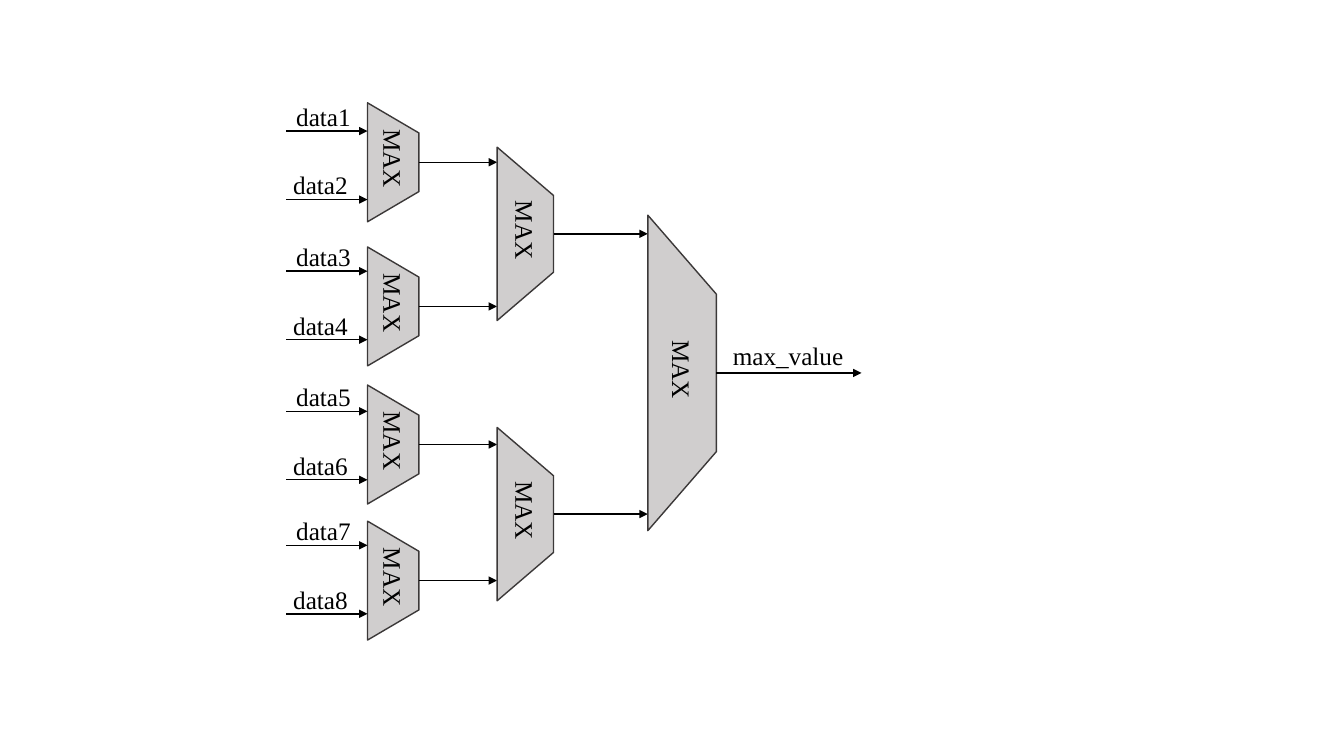
from lxml.etree import SubElement
from pptx import Presentation
from pptx.dml.color import RGBColor
from pptx.enum.shapes import MSO_CONNECTOR, MSO_SHAPE
from pptx.oxml.ns import qn
from pptx.util import Inches, Pt

COLORS = {"fill": "D0CECE", "outline": "3B3838", "ink": "000000"}
FONT = "Times New Roman"
LABEL_HEIGHT = 4
INPUT_LEFT, INPUT_GAP = 28.4, 6.8
FIRST_LEFT, FIRST_WIDTH, FIRST_HEIGHT = 36.45, 5.1, 11.8
SECOND_LEFT, SECOND_WIDTH, SECOND_HEIGHT = 49.3, 5.6, 17.2
FINAL_LEFT, FINAL_WIDTH, FINAL_HEIGHT = 64.25, 6.8, 31.3
FIRST_CENTERS = (16.1, 30.4, 44.1, 57.6)
INPUT_TOPS = (13, 26.9, 40.8, 54.1)
SECOND_CENTERS = (23.2, 51)
FINAL_CENTER = 37


def cells(count):
    """Convert cells of a tenth-inch grid to a slide length."""
    return Inches(count / 10)


def add_label(slide, left, top, width, words, rotation=0):
    """Place one line of text in the given box."""
    label = slide.shapes.add_textbox(cells(left), cells(top), cells(width), cells(LABEL_HEIGHT))
    label.rotation = rotation
    label.text_frame.word_wrap = True
    run = label.text_frame.paragraphs[0].add_run()
    run.text = words
    run.font.name = FONT
    run.font.size = Pt(18)
    run.font.color.rgb = RGBColor.from_string(COLORS["ink"])


def add_wire(slide, start, end, level):
    """Draw a horizontal arrow from start to end."""
    wire = slide.shapes.add_connector(
        MSO_CONNECTOR.STRAIGHT, cells(start), cells(level), cells(end), cells(level))
    wire.line.width = Pt(1)
    wire.line.color.rgb = RGBColor.from_string(COLORS["ink"])
    SubElement(wire.line._get_or_add_ln(), qn("a:tailEnd"), type="triangle")
    SubElement(wire._element.spPr, qn("a:effectLst"))


def add_max_unit(slide, left, center, width, height, slope):
    """Draw a comparator that narrows to the right, with its name turned."""
    middle = left + width / 2
    unit = slide.shapes.add_shape(
        MSO_SHAPE.TRAPEZOID, cells(middle - height / 2), cells(center - width / 2),
        cells(height), cells(width))
    unit.rotation = 90
    unit.adjustments[0] = slope
    unit.shadow.inherit = False
    unit.fill.solid()
    unit.fill.fore_color.rgb = RGBColor.from_string(COLORS["fill"])
    unit.line.color.rgb = RGBColor.from_string(COLORS["outline"])
    unit.line.width = Pt(1)
    add_label(slide, middle - 4.25, center - LABEL_HEIGHT / 2, 8.5, "MAX", 90)


def add_inputs(slide, top, first_number):
    """Draw the two labelled inputs of a first-stage comparator."""
    for row, shift in enumerate((0, -0.3)):
        level = top + row * INPUT_GAP
        add_wire(slide, INPUT_LEFT, FIRST_LEFT, level)
        add_label(slide, INPUT_LEFT + shift, level - 3.45, 8.6, f"data{first_number + row}")


def add_max_tree(slide):
    """Draw the three comparator stages and the wires between them."""
    for index, (center, top) in enumerate(zip(FIRST_CENTERS, INPUT_TOPS)):
        add_max_unit(slide, FIRST_LEFT, center, FIRST_WIDTH, FIRST_HEIGHT, 0.587)
        add_inputs(slide, top, 2 * index + 1)
        add_wire(slide, FIRST_LEFT + FIRST_WIDTH, SECOND_LEFT, center)
    for center in SECOND_CENTERS:
        add_max_unit(slide, SECOND_LEFT, center, SECOND_WIDTH, SECOND_HEIGHT, 0.857)
        add_wire(slide, SECOND_LEFT + SECOND_WIDTH, FINAL_LEFT, center)
    add_max_unit(slide, FINAL_LEFT, FINAL_CENTER, FINAL_WIDTH, FINAL_HEIGHT, 1.153)
    output_left = FINAL_LEFT + FINAL_WIDTH
    add_wire(slide, output_left, output_left + 14.4, FINAL_CENTER)
    add_label(slide, output_left + 0.65, FINAL_CENTER - 3.7, 13.7, "max_value")


def main():
    """Build and save the slide."""
    presentation = Presentation()
    presentation.slide_width = Inches(13.33)
    presentation.slide_height = Inches(7.5)
    add_max_tree(presentation.slides.add_slide(presentation.slide_layouts[6]))
    presentation.save("out.pptx")


if __name__ == "__main__":
    main()
